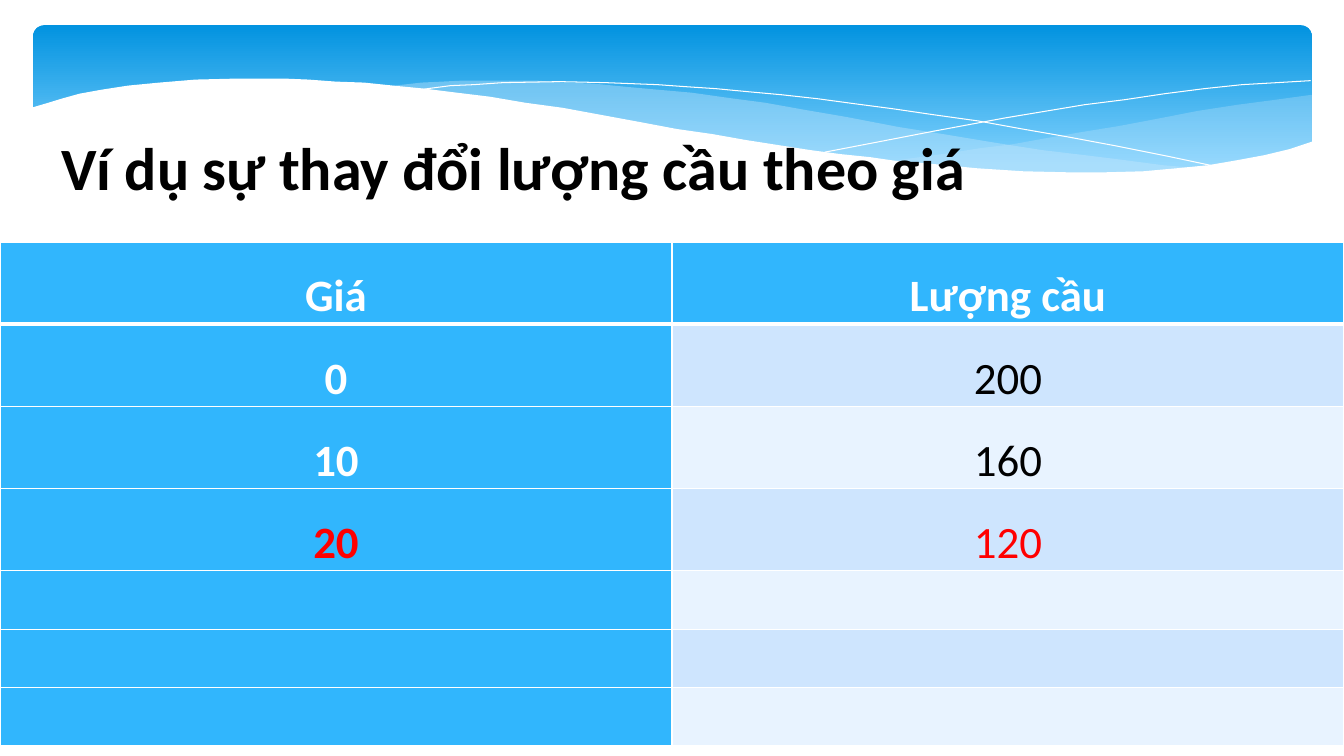
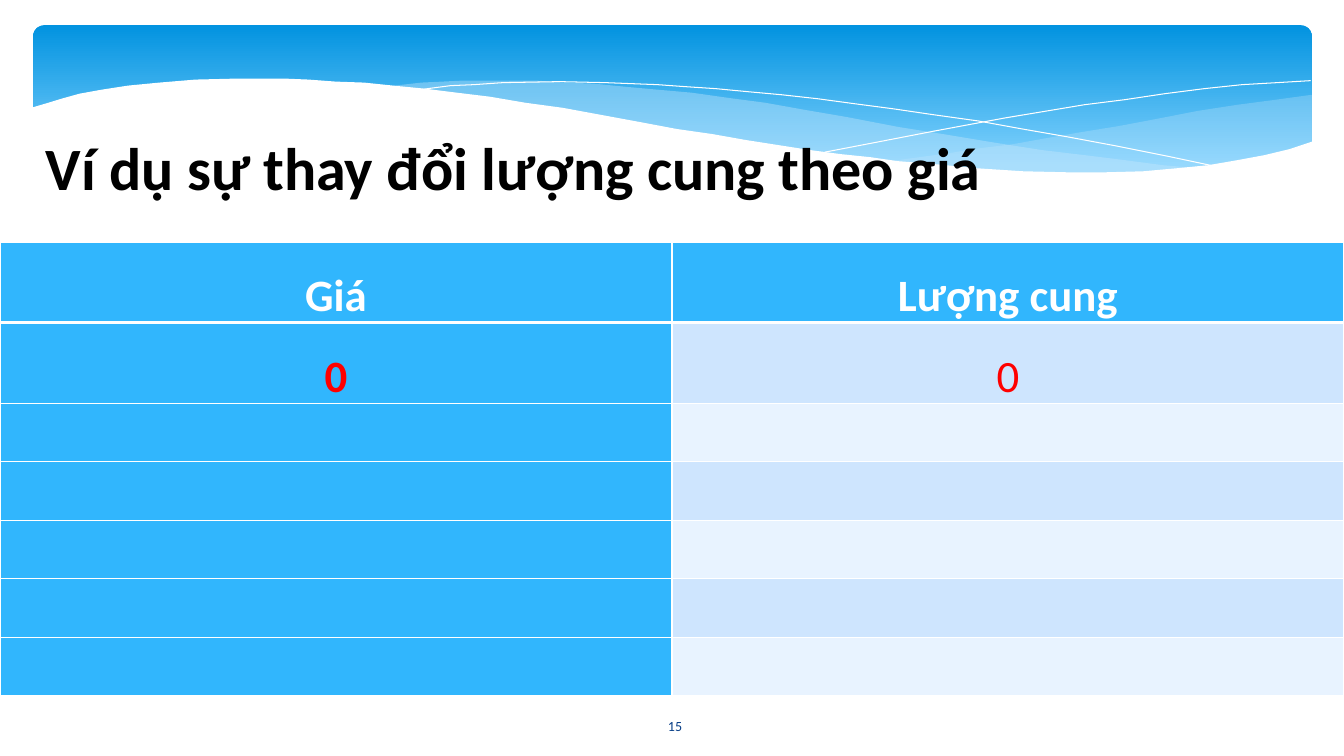
from pptx import Presentation
from pptx.dml.color import RGBColor
from pptx.enum.shapes import MSO_SHAPE as SHAPE
from pptx.enum.text import MSO_ANCHOR as ANCHOR, MSO_AUTO_SIZE as AUTO_SIZE, PP_ALIGN as ALIGN
from pptx.oxml import parse_xml
from pptx.oxml.ns import nsdecls
from pptx.util import Inches, Pt

FONT = "Calibri"
WHITE, BLACK, RED, NAVY = "FFFFFF", "000000", "FF0000", "073E87"
SKY, BAND_TOP, BAND_BOTTOM, MIST = "31B6FD", "0293E0", "83D3FE", "C6E7FC"
STRIPES = ["CEE5FE", "E8F3FF"]
ROW_COUNT, ROW_HEIGHT = 7, 0.58

# Outlines of the waves in the header band, in inches
RIGHT_WAVE = [
    (13.01, 0.94), (12.65, 0.99), (12.27, 1.04), (11.88, 1.1), (11.47, 1.18),
    (11.1, 1.25), (10.73, 1.31), (10.38, 1.37), (10.05, 1.43), (9.72, 1.47),
    (9.41, 1.52), (8.82, 1.6), (9.21, 1.64), (9.58, 1.67), (9.93, 1.69),
    (10.25, 1.71), (10.56, 1.72), (11.13, 1.72), (11.51, 1.7), (11.74, 1.67),
    (11.96, 1.65), (12.18, 1.62), (12.38, 1.58), (12.57, 1.54), (12.84, 1.47),
    (13.01, 1.42)]
MIDDLE_WAVE = [
    (11.9, 1.67), (11.54, 1.64), (11.16, 1.59), (10.76, 1.54), (10.34, 1.49),
    (9.89, 1.42), (9.41, 1.34), (8.91, 1.26), (8.39, 1.16), (7.98, 1.09),
    (7.59, 1.02), (7.21, 0.97), (6.86, 0.92), (6.52, 0.89), (6.19, 0.86),
    (5.89, 0.83), (5.6, 0.82), (5.32, 0.8), (4.59, 0.8), (4.18, 0.82),
    (3.82, 0.86), (4.31, 0.9), (4.83, 0.97), (5.39, 1.06), (5.99, 1.16),
    (6.54, 1.26), (7.06, 1.35), (7.55, 1.43), (8.02, 1.5), (8.46, 1.56),
    (8.87, 1.61), (9.26, 1.65), (9.63, 1.68), (9.98, 1.7), (10.3, 1.72),
    (10.61, 1.73), (11.04, 1.73), (11.31, 1.72), (11.56, 1.7), (11.79, 1.68)]
FALLING_LINE = [
    (4.12, 0.9), (4.24, 0.88), (4.47, 0.85), (4.7, 0.84), (4.99, 0.82),
    (5.55, 0.81), (6, 0.82), (6.52, 0.84), (6.8, 0.86), (7.1, 0.88),
    (7.42, 0.91), (7.75, 0.94), (8.11, 0.98), (8.48, 1.03), (8.86, 1.08),
    (9.27, 1.14), (9.7, 1.2), (10.14, 1.28), (10.6, 1.36), (11.08, 1.45),
    (11.58, 1.55), (12.1, 1.66)]
RISING_LINE = [
    (8.18, 1.51), (8.7, 1.41), (9.27, 1.3), (9.97, 1.17), (10.75, 1.04),
    (11.15, 0.99), (11.55, 0.93), (11.94, 0.88), (12.32, 0.84), (12.67, 0.82),
    (13, 0.8)]
WHITE_WAVE = [
    (13.03, 1.4), (12.79, 1.48), (12.54, 1.54), (12.27, 1.59), (11.98, 1.64),
    (11.67, 1.67), (11.34, 1.7), (10.97, 1.71), (10.58, 1.71), (10.15, 1.7),
    (9.69, 1.67), (9.18, 1.62), (8.91, 1.6), (8.63, 1.56), (8.34, 1.53),
    (8.04, 1.49), (7.72, 1.44), (7.4, 1.39), (7.06, 1.33), (6.71, 1.28),
    (6.34, 1.21), (5.96, 1.14), (5.58, 1.07), (5.21, 1.02), (4.86, 0.96),
    (4.53, 0.92), (4.21, 0.88), (3.9, 0.85), (3.61, 0.82), (3.33, 0.81),
    (3.06, 0.79), (2.82, 0.78), (2.35, 0.78), (1.94, 0.79), (1.58, 0.82),
    (1.27, 0.85), (1.01, 0.89), (0.79, 0.93), (0.61, 0.98), (0.48, 1.02),
    (0.31, 1.07), (0.31, 2.24), (13.03, 2.24)]

# Outline, fill, opacity in percent; without a fill it is a white hairline
WAVES = [(RIGHT_WAVE, MIST, 29), (MIDDLE_WAVE, MIST, 40), (FALLING_LINE, None, 100),
         (RISING_LINE, None, 100), (WHITE_WAVE, WHITE, 100)]

# Title, slide number, table rows; the last filled row is red
SLIDES = [
    ("Ví dụ sự thay đổi lượng cầu theo giá", None,
     [("Giá", "Lượng cầu"), ("0", "200"), ("10", "160"), ("20", "120")]),
    ("Ví dụ sự thay đổi lượng cung theo giá", "15",
     [("Giá", "Lượng cung"), ("0", "0")]),
]


def rgb(hex_color):
    return RGBColor.from_string(hex_color)


def style_paragraph(paragraph, size, color, bold=False):
    paragraph.alignment = ALIGN.CENTER
    font = paragraph.font
    font.name, font.size, font.bold = FONT, Pt(size), bold
    font.color.rgb = rgb(color)


prs = Presentation()
prs.slide_width, prs.slide_height = Inches(13.33), Inches(7.5)
layout = prs.slide_layouts.get_by_name("Title Only")
slides = [prs.slides.add_slide(layout) for _ in SLIDES]

# Header band: drawn once, then moved to the layout behind its placeholders
canvas = slides[0].shapes
band = canvas.add_shape(SHAPE.ROUNDED_RECTANGLE, Inches(0.33), Inches(0.25),
                        Inches(12.68), Inches(1.56))
band.adjustments[0] = 0.07
band.fill.gradient()
band.fill.gradient_angle = 270
for stop, color, position in zip(band.fill.gradient_stops, (BAND_TOP, BAND_BOTTOM), (0, 0.9)):
    stop.color.rgb = rgb(color)
    stop.position = position
band.line.fill.background()
header = [band]

for outline, color, opacity in WAVES:
    points = [(Inches(x), Inches(y)) for x, y in outline]
    builder = canvas.build_freeform(*points[0])
    builder.add_line_segments(points[1:], close=color is not None)
    wave = builder.convert_to_shape()
    if color:
        wave.fill.solid()
        wave.fill.fore_color.rgb = rgb(color)
        wave.line.fill.background()
        if opacity < 100:
            tint = wave.fill._xPr.find(".//{*}srgbClr")
            tint.append(parse_xml(f'<a:alpha {nsdecls("a")} val="{opacity * 1000}"/>'))
    else:
        wave.fill.background()
        wave.line.color.rgb = rgb(WHITE)
        wave.line.width = Pt(0)
    header.append(wave)

for depth, part in enumerate(header, start=2):
    part.shadow.inherit = False
    layout.shapes.element.insert(depth, part.element)

# Title position, shared through the layout
layout_title = layout.placeholders[0]
layout_title.left, layout_title.top = Inches(-0.33), Inches(1.24)
layout_title.width, layout_title.height = Inches(10.84), Inches(1.37)

for slide, (heading, number, rows) in zip(slides, SLIDES):
    # Title
    title = slide.shapes.title.text_frame
    title.text = heading
    title.vertical_anchor = ANCHOR.TOP
    title.auto_size = AUTO_SIZE.NONE
    style_paragraph(title.paragraphs[0], 42.9, BLACK, bold=True)

    # Slide number
    if number:
        page = slide.shapes.add_textbox(Inches(5.85), Inches(7), Inches(1.69),
                                        Inches(0.4)).text_frame
        page.word_wrap = True
        page.vertical_anchor = ANCHOR.MIDDLE
        page.text = number
        style_paragraph(page.paragraphs[0], 10, NAVY)

    # Table of prices and quantities
    table = slide.shapes.add_table(ROW_COUNT, 2, 0, Inches(2.4), prs.slide_width,
                                   Inches(ROW_COUNT * ROW_HEIGHT)).table
    for r in range(ROW_COUNT):
        for c in range(2):
            cell = table.cell(r, c)
            cell.margin_left = cell.margin_right = Inches(0.07)
            cell.margin_top = cell.margin_bottom = 0

            # White borders, thick under the heading row
            borders = {"L": 1, "R": 1, "T": 3 if r == 1 else 1, "B": 3 if r == 0 else 1}
            for side, width in borders.items():
                cell._tc.get_or_add_tcPr().append(parse_xml(
                    f'<a:ln{side} {nsdecls("a")} w="{Pt(width)}"><a:solidFill>'
                    f'<a:srgbClr val="{WHITE}"/></a:solidFill></a:ln{side}>'))

            in_heading = r == 0 or c == 0
            cell.fill.solid()
            cell.fill.fore_color.rgb = rgb(SKY if in_heading else STRIPES[(r - 1) % 2])

            if r < len(rows):
                cell.text = rows[r][c]
                entry = cell.text_frame.paragraphs[0]
                entry.line_spacing = 1.5
                entry.space_after = Pt(8)
                color = RED if r == len(rows) - 1 else WHITE if in_heading else BLACK
                style_paragraph(entry, 32, color, bold=in_heading)

prs.save("out.pptx")
